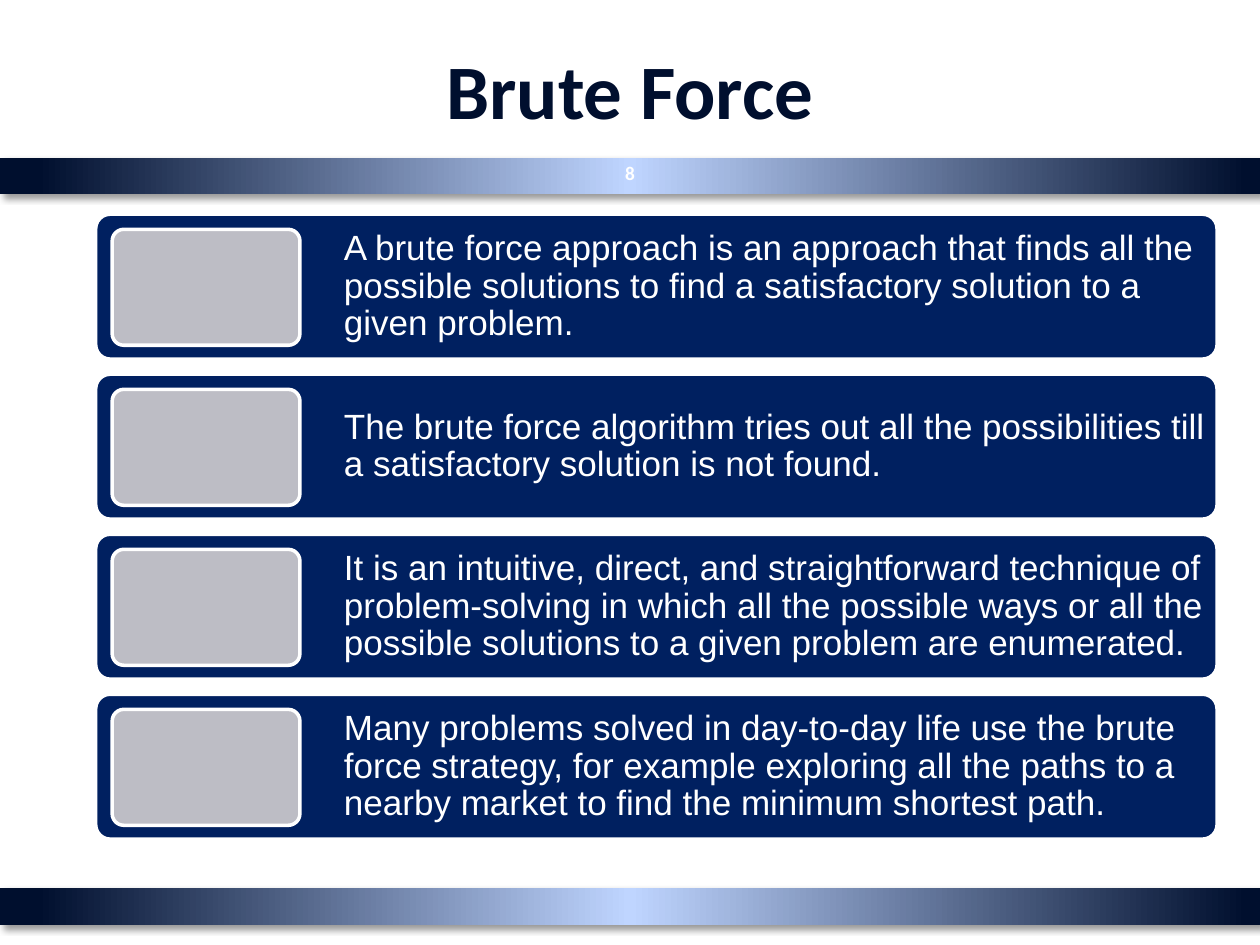
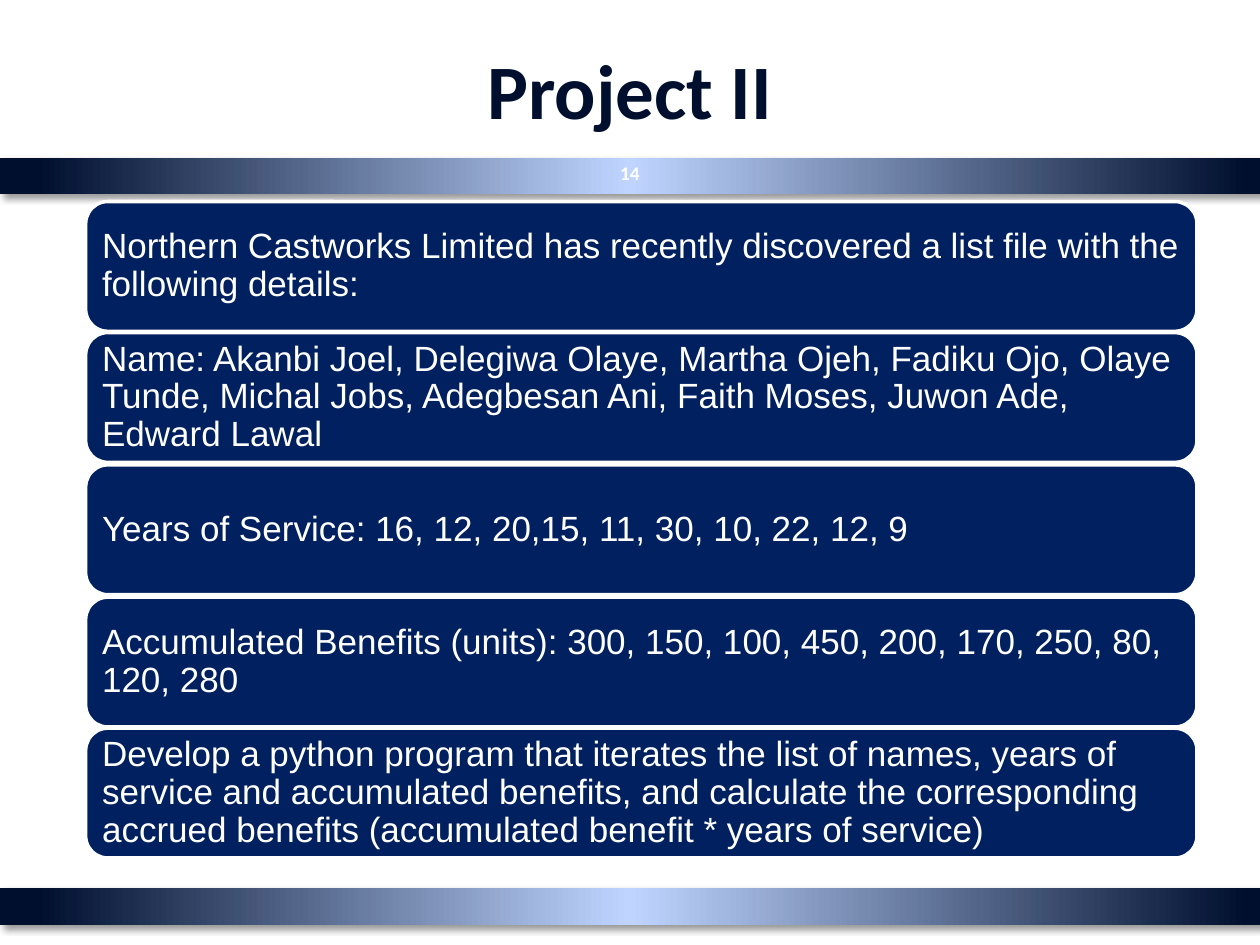
from lxml.etree import SubElement as add_element
from pptx import Presentation
from pptx.dml.color import RGBColor
from pptx.enum.shapes import MSO_SHAPE as SHAPE
from pptx.enum.text import MSO_ANCHOR as ANCHOR, MSO_AUTO_SIZE as FIT, PP_ALIGN as ALIGN
from pptx.oxml import parse_xml
from pptx.oxml.ns import nsdecls, qn
from pptx.util import Emu, Pt

PX = 9144  # 100 px to the inch

INK, NAVY, GLOW, GREY, WHITE = "000F2E", "002060", "BFD5FF", "BDBDC5", "FFFFFF"
BAND_STOPS = [(0, INK), (3, INK), (50, GLOW), (99, INK), (100, INK)]
BAND_TOPS = [705, 125]

TITLE = {"name": "Calibri", "size": Pt(44), "bold": True}
NUMBER = {"name": "Calibri", "size": Pt(11), "bold": True}
BODY = {"name": "Arial", "size": Pt(20), "bold": False}


def px(length):
    return Emu(round(length * PX))


def color(value):
    return RGBColor.from_string(value)


def row_tops(top, bottom, height, count):
    """Spread rows of one height evenly from top to bottom."""
    pitch = (bottom - top - height) / (count - 1)
    return [round(top + index * pitch) for index in range(count)]


class SlideBuilder:
    def __init__(self):
        self.deck = Presentation()
        self.deck.slide_width, self.deck.slide_height = px(1000), px(750)
        self.page = None

    def start(self, title, number):
        """Begin a slide with its title, bands and number."""
        self.page = self.deck.slides.add_slide(self.deck.slide_layouts[5])
        heading = self.page.shapes.title
        sides = zip(("left", "top", "width", "height"), (50, 8, 900, 125))
        for side, length in sides:
            setattr(heading, side, px(length))
        self.set_text(heading, title, TITLE, INK, ALIGN.CENTER, (10, 5))
        for top in BAND_TOPS:
            heading.element.addprevious(self.band(top).element)
        self.text((479, 117, 42, 40), number, NUMBER, ALIGN.CENTER, (10, 5))

    def shape(self, kind, area):
        shape = self.page.shapes.add_shape(kind, *map(px, area))
        shape.shadow.inherit = False
        return shape

    def band(self, top):
        """Full-width gradient bar with a soft shadow."""
        band = self.shape(SHAPE.RECTANGLE, (0, top, 1000, 29))
        band.line.fill.background()
        band.fill.gradient()
        band.fill.gradient_angle = 0
        properties = band.element.spPr
        stops = properties.find(qn("a:gradFill")).find(qn("a:gsLst"))
        stops.clear()
        for percent, value in BAND_STOPS:
            stop = add_element(stops, qn("a:gs"), pos=str(percent * 1000))
            add_element(stop, qn("a:srgbClr"), val=value)
        properties.find(qn("a:effectLst")).append(parse_xml(
            f'<a:outerShdw {nsdecls("a")} blurRad="{Pt(4)}" dist="{Pt(3)}" '
            'dir="2700000" algn="tl" rotWithShape="0"><a:srgbClr val="000000">'
            '<a:alpha val="40000"/></a:srgbClr></a:outerShdw>'))
        return band

    def card(self, area, fill=NAVY, corner=0.1):
        card = self.shape(SHAPE.ROUNDED_RECTANGLE, area)
        card.adjustments[0] = corner
        card.fill.solid()
        card.fill.fore_color.rgb = color(fill)
        card.line.color.rgb = color(WHITE)
        card.line.width = Pt(2)

    def text(self, area, words, style=BODY, align=ALIGN.LEFT, insets=(8, 8), spacing=1.0):
        box = self.page.shapes.add_textbox(*map(px, area))
        self.set_text(box, words, style, WHITE, align, insets, spacing)

    def set_text(self, box, words, style, ink, align, insets, spacing=1.0):
        across, down = map(px, insets)
        frame = box.text_frame
        layout = {"word_wrap": True, "auto_size": FIT.NONE,
                  "vertical_anchor": ANCHOR.MIDDLE,
                  "margin_left": across, "margin_right": across,
                  "margin_top": down, "margin_bottom": down}
        for name, value in layout.items():
            setattr(frame, name, value)
        para = frame.paragraphs[0]
        para.alignment, para.line_spacing = align, spacing
        span = para.add_run()
        span.text = words
        for name, value in style.items():
            setattr(span.font, name, value)
        span.font.color.rgb = color(ink)

    def icon_rows(self, points):
        """Wide cards, each with a grey tile at the left."""
        for top, words in zip(row_tops(170, 666, 115, len(points)), points):
            self.card((76, top, 890, 115))
            self.text((265, top, 700, 115), words, spacing=0.9)
            self.card((89, top + 12, 149, 92), GREY)

    def plain_rows(self, points):
        """Stacked cards that hold text only."""
        for top, words in zip(row_tops(160, 681, 103, len(points)), points):
            self.card((68, top, 882, 103), corner=0.17)
            self.text((73, top + 5, 872, 93), words, spacing=0.9)


def main():
    builder = SlideBuilder()

    # Brute force
    builder.start("Brute Force", "8")
    builder.icon_rows([
        "A brute force approach is an approach that finds all the possible "
        "solutions to find a satisfactory solution to a given problem.",
        "The brute force algorithm tries out all the possibilities till a "
        "satisfactory solution is not found.",
        "It is an intuitive, direct, and straightforward technique of "
        "problem-solving in which all the possible ways or all the possible "
        "solutions to a given problem are enumerated.",
        "Many problems solved in day-to-day life use the brute force strategy, "
        "for example exploring all the paths to a nearby market to find the "
        "minimum shortest path.",
    ])

    # Project brief
    builder.start("Project II", "14")
    builder.plain_rows([
        "Northern Castworks Limited has recently discovered a list file with "
        "the following details:",
        "Name: Akanbi Joel, Delegiwa Olaye, Martha Ojeh, Fadiku Ojo, Olaye "
        "Tunde, Michal Jobs, Adegbesan Ani, Faith Moses, Juwon Ade, Edward Lawal",
        "Years of Service: 16, 12, 20,15, 11, 30, 10, 22, 12, 9",
        "Accumulated Benefits (units): 300, 150, 100, 450, 200, 170, 250, 80, "
        "120, 280",
        "Develop a python program that iterates the list of names, years of "
        "service and accumulated benefits, and calculate the corresponding "
        "accrued benefits (accumulated benefit * years of service)",
    ])

    builder.deck.save("out.pptx")


if __name__ == "__main__":
    main()
